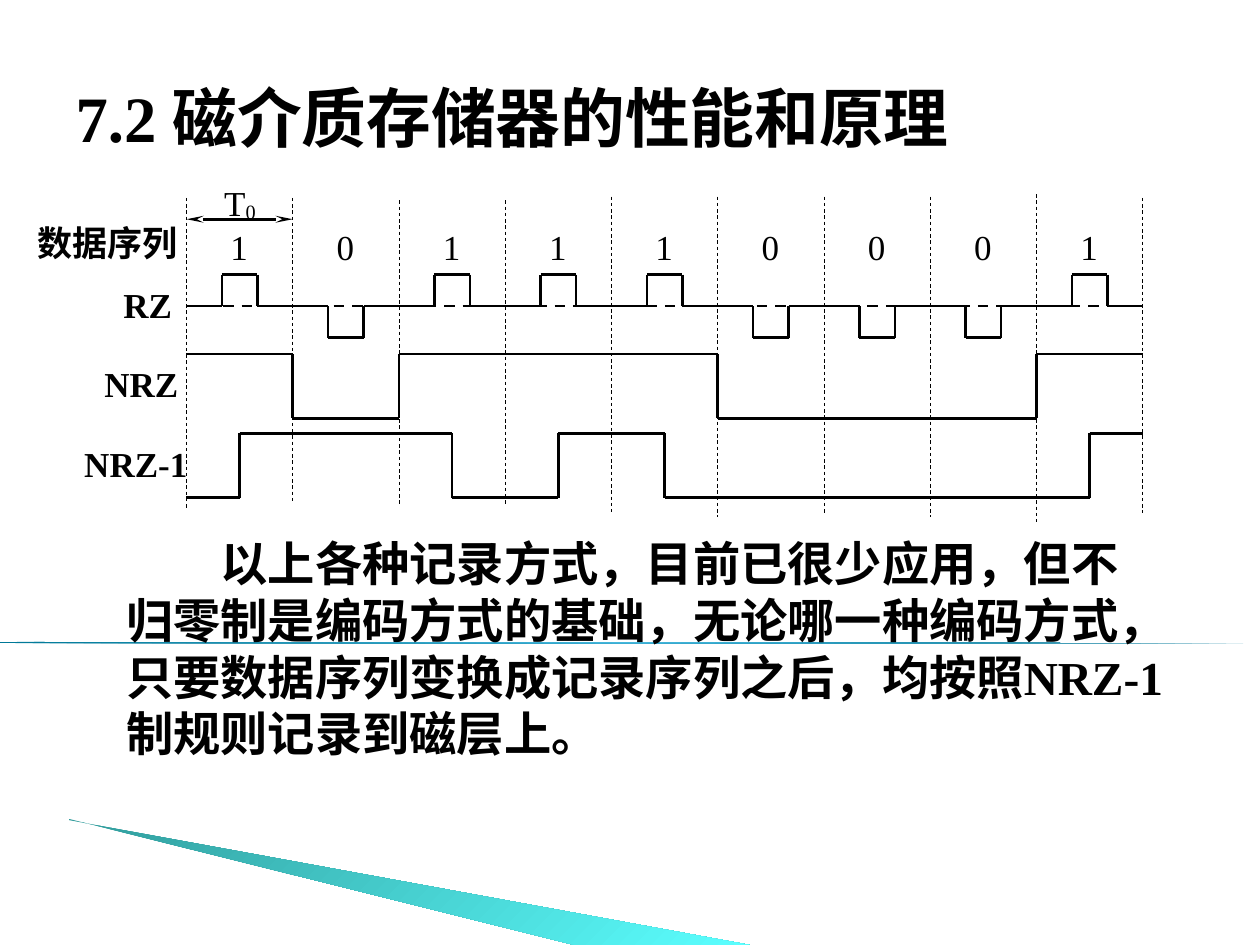
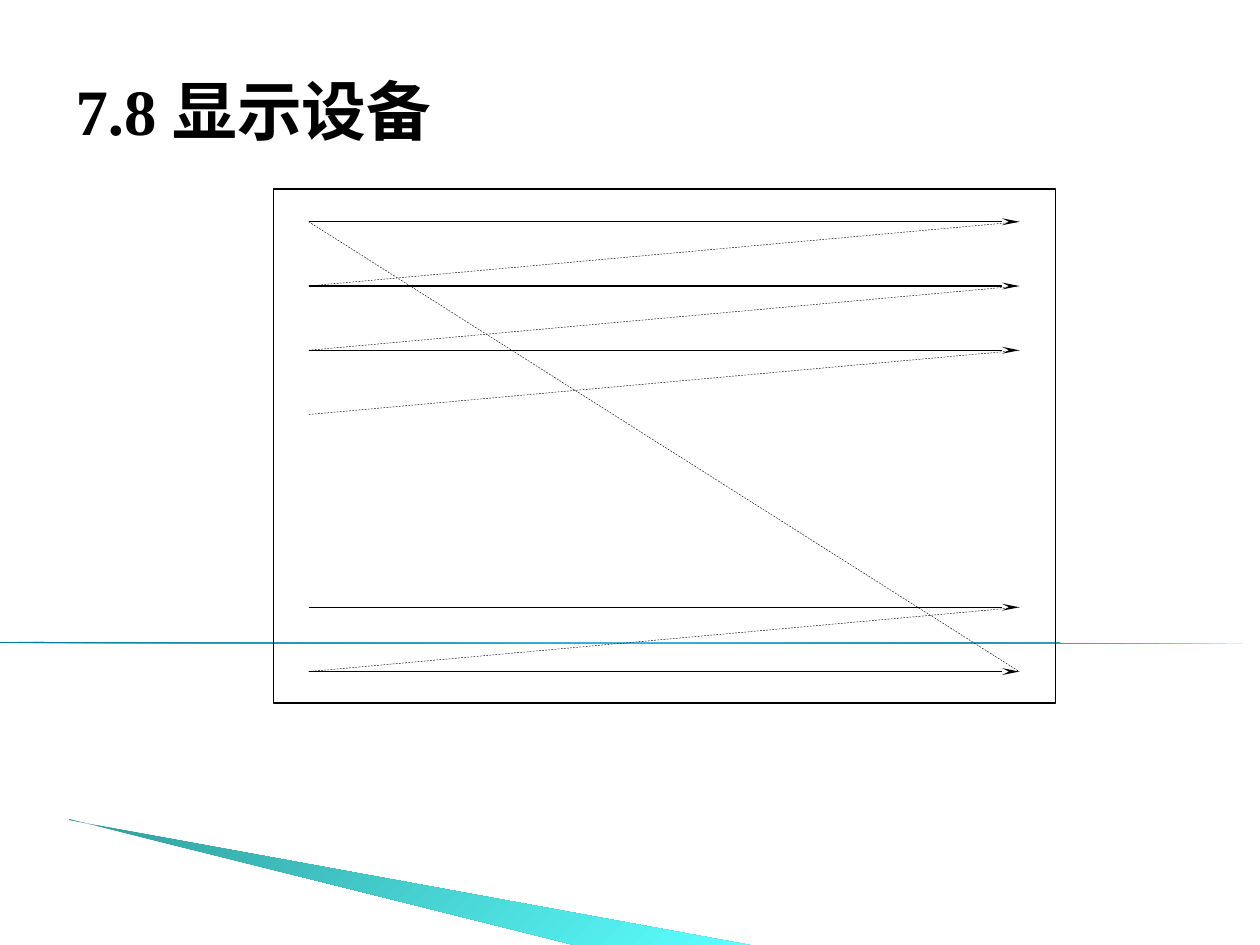
from copy import deepcopy
from itertools import pairwise

from lxml import etree
from pptx import Presentation
from pptx import util as u
from pptx.dml.color import RGBColor
from pptx.enum import dml, shapes, text
from pptx.oxml.ns import qn

BLACK = RGBColor(0x00, 0x00, 0x00)
DEEP_BLUE = RGBColor(0x00, 0x78, 0x97)
SKY_BLUE = RGBColor(0x4A, 0xBB, 0xE0)
TEAL = RGBColor(0x31, 0x9C, 0x9C)
AQUA = RGBColor(0x5B, 0xFF, 0xFF)
FONT = "Times New Roman"
TITLE_SIZE, BODY_SIZE, LABEL_SIZE = 37, 27, 20
COLUMNS, ROWS = 100, 75
TITLE_AND_BODY, TITLE_ONLY = 1, 5

BITS = [1, 0, 1, 1, 1, 0, 0, 0, 1]
WAVE_LEFT, WAVE_RIGHT = 14.8, 90.7
BIT_WIDTH = (WAVE_RIGHT - WAVE_LEFT) / len(BITS)
RZ_BASE, RZ_PULSE = 24.3, 2.5
NRZ_LEVELS = {1: 28.1, 0: 33.2}
NRZ1_LEVELS = {1: 34.4, 0: 39.5}
GUIDES = [(15.7, 40.4), (15.7, 39.8), (15.9, 40.2), (15.9, 40.2), (15.6, 40.6),
          (15.6, 41.0), (15.6, 40.8), (15.6, 41.0), (15.4, 41.4), (15.7, 40.7)]
ROW_LABELS = [("数据序列", 2, 17.1), ("RZ", 8.8, 22), ("NRZ", 7.3, 28.3), ("NRZ-1", 5.7, 34.6)]

SCAN_LEFT, SCAN_RIGHT = 24.5, 80.9
SCAN_TOP, SCAN_STEP = 17.6, 5.1
SCAN_ROWS = [0, 1, 2, 6, 7]
RETRACE_ROWS = [0, 1, 2, 6]


def write(para, content, size=LABEL_SIZE, bold=False, color=BLACK, baseline=None):
    span = para.add_run()
    span.text = content
    span.font.name = FONT
    span.font.size = u.Pt(size)
    span.font.bold = bold
    span.font.color.rgb = color
    if baseline is not None:
        span.font._element.set("baseline", str(baseline * 1000))


class Page:
    def __init__(self, deck, layout):
        self.slide = deck.slides.add_slide(deck.slide_layouts[layout])
        self.column = deck.slide_width / COLUMNS
        self.row = deck.slide_height / ROWS
        self.backdrop()

    def x(self, columns):
        return round(columns * self.column)

    def y(self, rows):
        return round(rows * self.row)

    def area(self, left, top, width, height):
        return self.x(left), self.y(top), self.x(width), self.y(height)

    def paint(self, shape, colors, angle):
        shape.shadow.inherit = False
        shape.line.fill.background()
        shape.fill.gradient()
        shape.fill.gradient_angle = 360 - angle
        stop_list = shape._element.spPr.find(".//" + qn("a:gsLst"))
        while len(stop_list) < len(colors):
            stop_list.append(deepcopy(stop_list[0]))
        for index, (stop, color) in enumerate(zip(shape.fill.gradient_stops, colors)):
            stop.color.rgb = color
            stop.position = index / (len(colors) - 1)

    def backdrop(self):
        rule = self.slide.shapes.add_shape(
            shapes.MSO_SHAPE.RIGHT_TRIANGLE, *self.area(0, 50.95, 100, 0.1))
        self.paint(rule, [DEEP_BLUE, SKY_BLUE, DEEP_BLUE], 50)
        outline = self.slide.shapes.build_freeform(self.x(5.5), self.y(65.1))
        outline.add_line_segments(
            [(self.x(59.5), self.y(75)), (self.x(45.6), self.y(75)), (self.x(5.5), self.y(65))])
        wedge = outline.convert_to_shape()
        self.paint(wedge, [TEAL, AQUA], 45)
        for shape in (wedge, rule):
            self.slide.shapes._spTree.insert(2, shape._element)

    def place(self, box, area):
        box.left, box.top, box.width, box.height = self.area(*area)
        box.text_frame.word_wrap = True
        box.text_frame.auto_size = text.MSO_AUTO_SIZE.NONE
        para = box.text_frame.paragraphs[0]
        para.alignment = text.PP_ALIGN.LEFT
        para.space_before = u.Pt(0)
        return para

    def title(self, content, line_spacing=None):
        box = self.slide.shapes.title
        para = self.place(box, (5, 3, 90, 12.5))
        box.text_frame.vertical_anchor = text.MSO_ANCHOR.MIDDLE
        para.line_spacing = line_spacing
        write(para, content, size=TITLE_SIZE, bold=True)

    def body(self, content, area, margin, indent):
        para = self.place(self.slide.placeholders[1], area)
        settings = para._p.get_or_add_pPr()
        settings.set("marL", str(self.x(margin)))
        settings.set("indent", str(self.x(indent)))
        etree.SubElement(settings, qn("a:buNone"))
        write(para, content, size=BODY_SIZE, bold=True)

    def label(self, content, left, top, width, bold=False):
        box = self.slide.shapes.add_textbox(0, 0, 0, 0)
        para = self.place(box, (left, top, width, 4.4))
        write(para, content, bold=bold)
        return para

    def line(self, start, end, width=1.5, dashed=False, arrows=()):
        connector = self.slide.shapes.add_connector(
            shapes.MSO_CONNECTOR.STRAIGHT,
            self.x(start[0]), self.y(start[1]), self.x(end[0]), self.y(end[1]))
        connector.line.color.rgb = BLACK
        connector.line.width = u.Pt(width)
        if dashed:
            connector.line.dash_style = dml.MSO_LINE.DASH
        for end_name in arrows:
            etree.SubElement(connector.line._get_or_add_ln(), qn(f"a:{end_name}"),
                             type="stealth", w="sm", len="lg")
        etree.SubElement(connector._element.spPr, qn("a:effectLst"))

    def wave(self, level, steps):
        points = [(WAVE_LEFT, level)]
        for position, next_level in steps:
            column = WAVE_LEFT + position * BIT_WIDTH
            points += [(column, level), (column, next_level)]
            level = next_level
        points.append((WAVE_RIGHT, level))
        for start, end in pairwise(points):
            if start != end:
                self.line(start, end)

    def frame(self, area, width):
        box = self.slide.shapes.add_shape(shapes.MSO_SHAPE.RECTANGLE, *self.area(*area))
        box.shadow.inherit = False
        box.fill.background()
        box.line.color.rgb = BLACK
        box.line.width = u.Pt(width)


def recording_page(deck):
    page = Page(deck, TITLE_AND_BODY)
    page.title("7.2 磁介质存储器的性能和原理")
    page.body("以上各种记录方式，目前已很少应用，但不归零制是编码方式的基础，"
              "无论哪一种编码方式，只要数据序列变换成记录序列之后，"
              "均按照NRZ-1制规则记录到磁层上。",
              (5, 41.9, 88.3, 29), margin=4, indent=7.5)

    for index, (top, bottom) in enumerate(GUIDES):
        column = WAVE_LEFT + index * BIT_WIDTH
        page.line((column, top), (column, bottom), width=0.5, dashed=True)

    rz_steps, nrz_steps, nrz1_steps = [], [], []
    nrz1_state = 0
    for index, bit in enumerate(BITS):
        peak = RZ_BASE - RZ_PULSE if bit else RZ_BASE + RZ_PULSE
        rz_steps += [(index + 1 / 3, peak), (index + 2 / 3, RZ_BASE)]
        if index and bit != BITS[index - 1]:
            nrz_steps.append((index, NRZ_LEVELS[bit]))
        if bit:
            nrz1_state = 1 - nrz1_state
            nrz1_steps.append((index + 0.5, NRZ1_LEVELS[nrz1_state]))
        page.label(str(bit), 17.3 + index * BIT_WIDTH, 17.4, 5.6)
    page.wave(RZ_BASE, rz_steps)
    page.wave(NRZ_LEVELS[BITS[0]], nrz_steps)
    page.wave(NRZ1_LEVELS[0], nrz1_steps)
    page.line((WAVE_LEFT, RZ_BASE), (WAVE_RIGHT, RZ_BASE), dashed=True)

    for name, left, top in ROW_LABELS:
        page.label(name, left, top, 16.9, bold=True)
    page.line((WAVE_LEFT, 17.4), (WAVE_LEFT + BIT_WIDTH, 17.4), arrows=("headEnd", "tailEnd"))
    period = page.label("T", 16.8, 13.9, 10.5)
    write(period, "0", baseline=-10)


def display_page(deck):
    page = Page(deck, TITLE_ONLY)
    page.title("7.8 显示设备", line_spacing=0.8)
    page.frame((21.7, 15, 62.1, 40.8), width=0.75)

    def level(row):
        return SCAN_TOP + row * SCAN_STEP

    for row in SCAN_ROWS:
        page.line((SCAN_LEFT, level(row)), (SCAN_RIGHT, level(row)),
                  width=0.75, arrows=("tailEnd",))
    for row in RETRACE_ROWS:
        page.line((SCAN_LEFT, level(row + 1)), (SCAN_RIGHT, level(row)), width=0.25, dashed=True)
    page.line((SCAN_LEFT, level(SCAN_ROWS[0])), (SCAN_RIGHT, level(SCAN_ROWS[-1])),
              width=0.25, dashed=True)


def main():
    deck = Presentation()
    deck.slide_width, deck.slide_height = u.Inches(10), u.Inches(7.5)
    recording_page(deck)
    display_page(deck)
    deck.save("out.pptx")


if __name__ == "__main__":
    main()
